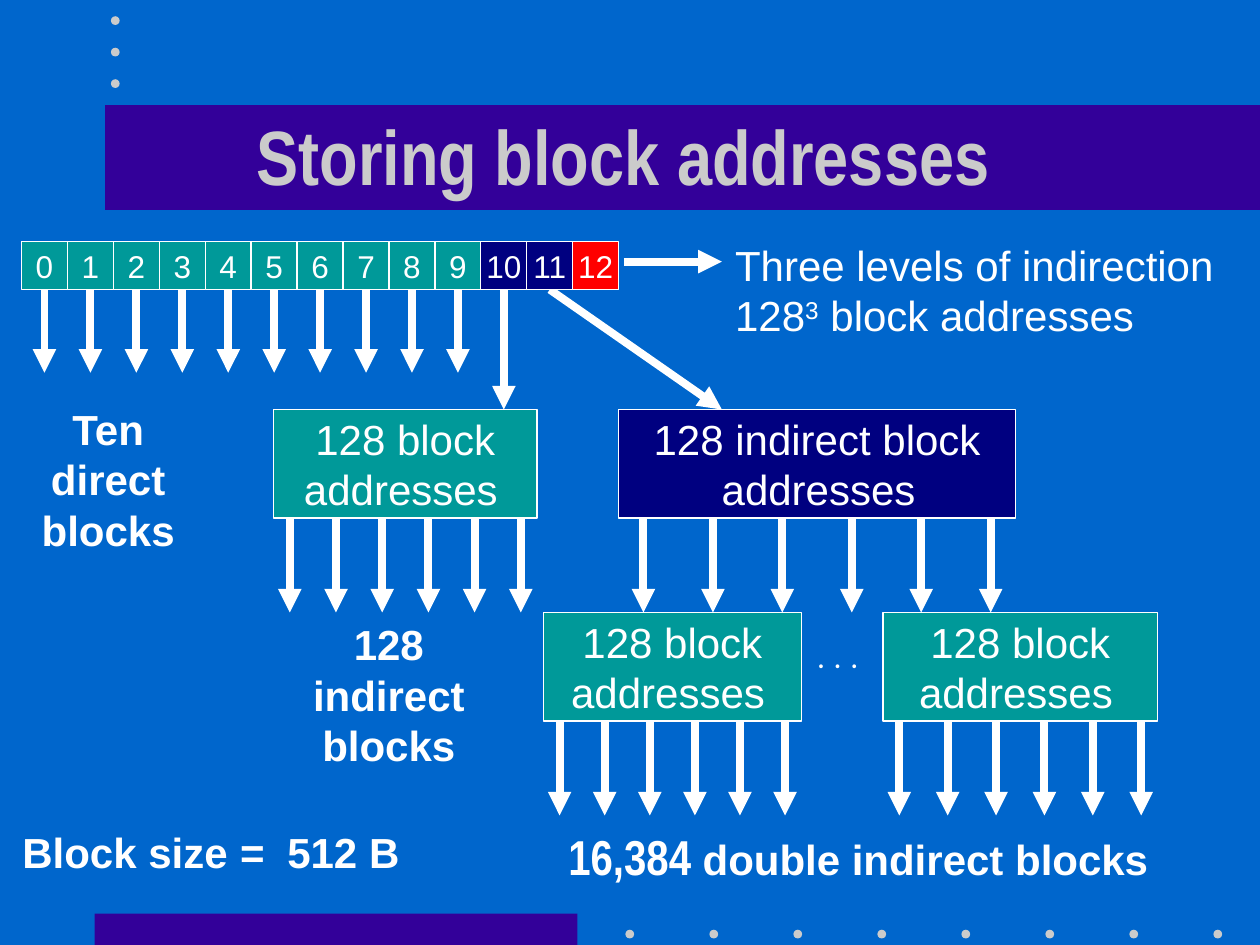
from dataclasses import dataclass
from typing import Optional

from lxml.etree import SubElement
from pptx import Presentation
from pptx.dml.color import RGBColor
from pptx.enum.shapes import MSO_CONNECTOR, MSO_SHAPE
from pptx.enum.text import MSO_ANCHOR, PP_ALIGN
from pptx.oxml.ns import qn
from pptx.util import Pt

BLUE = RGBColor(0x00, 0x66, 0xCC)
PURPLE = RGBColor(0x33, 0x00, 0x99)
GREY = RGBColor(0xCB, 0xCB, 0xCB)
TEAL = RGBColor(0x00, 0x99, 0x99)
NAVY = RGBColor(0x00, 0x00, 0x80)
RED = RGBColor(0xFF, 0x00, 0x00)
WHITE = RGBColor(0xFF, 0xFF, 0xFF)


@dataclass
class Span:
    """Text whose font differs from that of its paragraph."""
    text: str
    size: Optional[float] = None
    font_name: Optional[str] = None
    italic: Optional[bool] = None
    superscript: bool = False


SMALL_SPACE = Span(" ", size=18)
BLOCK_ADDRESSES = ["128 block\naddresses", SMALL_SPACE]


class SlideBuilder:
    font_name = "Arial"
    line_width = 4.5

    def __init__(self, slide):
        self.slide = slide
        self.shapes = slide.shapes

    def background(self, color):
        fill = self.slide.background.fill
        fill.solid()
        fill.fore_color.rgb = color

    def set_text(self, shape, spans, size, align, bold=False, color=WHITE, font_name=None):
        paragraph = shape.text_frame.paragraphs[0]
        paragraph.alignment = align
        font = paragraph.font
        font.name = font_name or self.font_name
        font.size, font.bold = Pt(size), bold
        font.color.rgb = color
        for item in spans:
            span = Span(item) if isinstance(item, str) else item
            for number, line in enumerate(span.text.split("\n")):
                if number:
                    paragraph.add_line_break()
                run = paragraph.add_run()
                run.text = line
                if span.size:
                    run.font.size = Pt(span.size)
                if span.font_name:
                    run.font.name = span.font_name
                if span.italic:
                    run.font.italic = True
                if span.superscript:
                    run.font._element.set("baseline", "30000")

    def title(self, text, left, top, width, height):
        title = self.shapes.title
        title.left, title.top = Pt(left), Pt(top)
        title.width, title.height = Pt(width), Pt(height)
        title.text_frame.vertical_anchor = MSO_ANCHOR.MIDDLE
        self.set_text(title, [text], 44, PP_ALIGN.CENTER, True, GREY, "Arial Narrow")
        # Bring the title in front of its band
        title.element.getparent().append(title.element)

    def shape(self, kind, left, top, width, height, color):
        shape = self.shapes.add_shape(kind, Pt(left), Pt(top), Pt(width), Pt(height))
        shape.shadow.inherit = False
        shape.fill.solid()
        shape.fill.fore_color.rgb = color
        shape.line.fill.background()
        return shape

    def dot(self, left, top):
        self.shape(MSO_SHAPE.OVAL, left, top, 5, 5, GREY)

    def band(self, left, top, width, height):
        self.shape(MSO_SHAPE.RECTANGLE, left, top, width, height, PURPLE)

    def box(self, spans, left, top, width, height, color, size=24):
        box = self.shape(MSO_SHAPE.RECTANGLE, left, top, width, height, color)
        box.line.color.rgb = WHITE
        box.line.width = Pt(0.75)
        box.text_frame.word_wrap = False
        box.text_frame.vertical_anchor = MSO_ANCHOR.MIDDLE
        self.set_text(box, spans, size, PP_ALIGN.CENTER)

    def label(self, spans, left, top, width, height, align=PP_ALIGN.CENTER,
              size=24, bold=True, wrap=True, font_name=None):
        label = self.shapes.add_textbox(Pt(left), Pt(top), Pt(width), Pt(height))
        label.text_frame.word_wrap = wrap
        self.set_text(label, spans, size, align, bold, font_name=font_name)

    def arrow(self, start_x, start_y, end_x, end_y):
        arrow = self.shapes.add_connector(
            MSO_CONNECTOR.STRAIGHT, Pt(start_x), Pt(start_y), Pt(end_x), Pt(end_y))
        arrow.line.color.rgb = WHITE
        arrow.line.width = Pt(self.line_width)
        properties = arrow.element.spPr
        SubElement(properties.find(qn("a:ln")), qn("a:tailEnd"), type="triangle")
        SubElement(properties, qn("a:effectLst"))

    def address_block(self, spans, left, top, width, color, inset=9.4, count=6):
        """Draw a box with evenly spaced arrows leaving its lower edge."""
        height, arrow_length = 62, 54
        self.box(spans, left, top, width, height, color)
        bottom = top + height
        step = (width - 2 * inset) / (count - 1)
        for index in range(count):
            x = left + inset + index * step
            self.arrow(x, bottom, x, bottom + arrow_length)


def main():
    presentation = Presentation()
    presentation.slide_width, presentation.slide_height = Pt(720), Pt(540)
    slide = presentation.slides.add_slide(presentation.slide_layouts[5])
    builder = SlideBuilder(slide)

    builder.background(BLUE)
    builder.band(54, 522, 276, 18)
    builder.band(60, 60, 660, 60)
    for index in range(8):
        builder.dot(357.4 + 48 * index, 531.3)
    for index in range(3):
        builder.dot(63.4, 9.3 + 18 * index)
    builder.title("Storing block addresses", 50.4, 43.2, 612, 90)

    # Thirteen entries: ten direct, then one for each level of indirection
    cell_left, cell_top, cell_width, cell_height = 12.3, 138, 26.25, 27.5
    cell_bottom = cell_top + cell_height
    cell_colors = [TEAL] * 10 + [NAVY] * 2 + [RED]
    centers = [cell_left + (index + 0.5) * cell_width for index in range(13)]
    for center in centers[:10]:
        builder.arrow(center, cell_bottom, center, 213)
    builder.arrow(centers[10], cell_bottom, centers[10], 234)
    builder.arrow(centers[11], cell_bottom, 412.5, 234)
    builder.arrow(356.5, 149.5, 412.5, 149.5)
    for index, color in enumerate(cell_colors):
        builder.box([str(index)], cell_left + index * cell_width, cell_top,
                    cell_width, cell_height, color, size=18)

    builder.address_block(BLOCK_ADDRESSES, 156.2, 234, 150.8, TEAL)
    builder.address_block(["128 indirect block\n addresses", SMALL_SPACE],
                          353.3, 234, 227.2, NAVY, inset=14.4)
    builder.address_block(BLOCK_ADDRESSES, 310.4, 350, 147.6, TEAL)
    builder.address_block(BLOCK_ADDRESSES, 504.5, 350, 157, TEAL)

    builder.label([". . ."], 460, 358.5, 41, 31.5, PP_ALIGN.LEFT,
                  size=20, bold=False, wrap=False, font_name="Montserrat")
    builder.label(["Ten\ndirect\nblocks"], 5.7, 227, 112.3, 93.6)
    builder.label(["128\nindirect\nblocks"], 156.2, 350, 132, 93.6)
    builder.label([Span("16,384", size=28, font_name="Arial Narrow"),
                   " double indirect blocks"], 298, 468.7, 385, 41)
    builder.label(["Block size ", Span("= ", italic=True), " 512 B"],
                  5.7, 468.7, 301, 36, PP_ALIGN.LEFT)
    builder.label(["Three levels of indirection\n128", Span("3", superscript=True),
                   " block addresses"], 413, 133.2, 288, 93.6, PP_ALIGN.LEFT,
                  bold=False, wrap=False)

    presentation.save("out.pptx")


if __name__ == "__main__":
    main()
